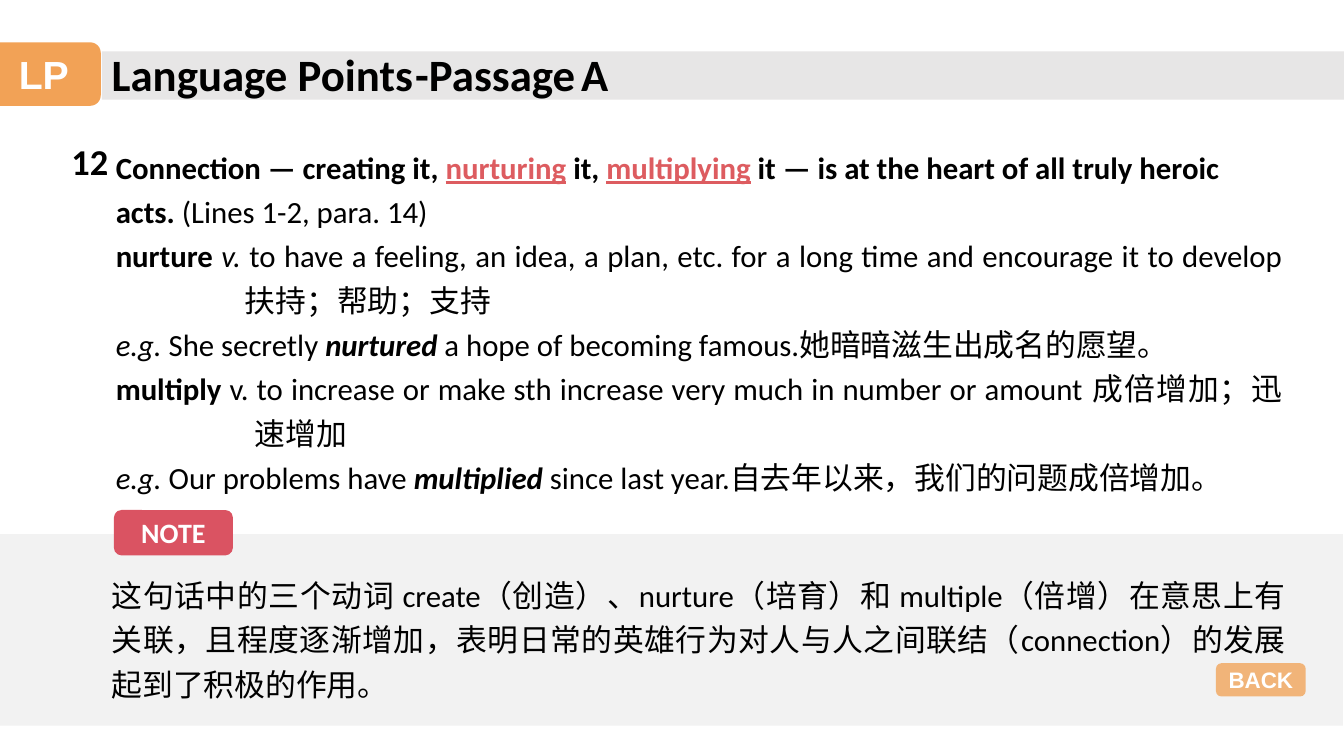
from pptx import Presentation
from pptx.dml.color import RGBColor
from pptx.enum.shapes import MSO_SHAPE
from pptx.enum.text import MSO_ANCHOR, MSO_AUTO_SIZE, PP_ALIGN
from pptx.oxml.ns import qn
from pptx.util import Inches, Pt
from lxml.etree import SubElement

BLACK, WHITE, RED, ORANGE = "000000", "FFFFFF", "DD5C60", "F19B48"
PLAIN, BOLD, ITALIC = {}, {"bold": True}, {"italic": True}
BOLD_ITALIC = {**BOLD, **ITALIC}
KEYWORD = {"bold": True, "underline": True, "color": RED}

BANDS = [
    ((1.01, 0.51, 12.33, 0.48), "E7E6E6"),
    ((-0.01, 5.3, 13.33, 1.9), "F2F2F2"),
]
BADGES = [
    ("LP", (-0.13, 0.42, 1.13, 0.63), ORANGE, 92, "Arial", 28),
    ("NOTE", (1.13, 5.06, 1.18, 0.45), "DA5362", 100, "Calibri", 20),
    ("BACK", (12.06, 6.58, 0.89, 0.33), ORANGE, 71, "Arial", 16),
]
HEADINGS = [
    ((1.01, 0.41, 4.85, 0.64), 32, [("Language Points", BOLD)]),
    ((4.02, 0.41, 2.47, 0.64), 32,
     [("-Passage", BOLD), (" ", {"size": 18}), ("A", BOLD)]),
    ((0.61, 1.33, 0.63, 0.54), 26, [("12", BOLD)]),
]
EXPLANATION = [
    (0, [("Connection — creating it, ", BOLD), ("nurturing", KEYWORD),
         (" it, ", BOLD), ("multiplying", KEYWORD),
         (" it — is at the heart of all truly heroic", BOLD)]),
    (0, [("acts. ", BOLD), ("(Lines 1-2, para. 14)", PLAIN)]),
    (1.28, [("nurture ", BOLD), ("v.", ITALIC),
            (" to have a feeling, an idea, a plan, etc. for a long time and "
             "encourage it to develop 扶持；帮助；支持", PLAIN)]),
    (0, [("e.g.", ITALIC), (" She secretly ", PLAIN),
         ("nurtured", BOLD_ITALIC),
         (" a hope of becoming famous.她暗暗滋生出成名的愿望。", PLAIN)]),
    (1.38, [("multiply", BOLD),
            (" v. to increase or make sth increase very much in number or "
             "amount 成倍增加；迅速增加", PLAIN)]),
    (0, [("e.g.", ITALIC), (" Our problems have ", PLAIN),
         ("multiplied", BOLD_ITALIC),
         (" since last year.自去年以来，我们的问题成倍增加。", PLAIN)]),
]
NOTE = [
    (0, [("这句话中的三个动词 create（创造）、nurture（培育）和 multiple（倍增）"
          "在意思上有关联，且程度逐渐增加，表明日常的英雄行为对人与人之间联结"
          "（connection）的发展起到了积极的作用。", PLAIN)]),
]
BODIES = [
    ((1.05, 1.35, 11.77, 3.62), EXPLANATION),
    ((1.01, 5.6, 11.84, 1.4), NOTE),
]


def rgb(color):
    return RGBColor.from_string(color)


def add_runs(p, runs, size, color=BLACK, name="Calibri"):
    for text, style in runs:
        r = p.add_run()
        r.text = text
        values = {"size": size, "name": name, "color": color, **style}
        r.font.color.rgb = rgb(values.pop("color"))
        values["size"] = Pt(values["size"])
        for key, value in values.items():
            setattr(r.font, key, value)


def add_block(s, kind, box, color, alpha=100):
    sp = s.shapes.add_shape(kind, *map(Inches, box))
    sp.shadow.inherit = False
    sp.fill.solid()
    sp.fill.fore_color.rgb = rgb(color)
    sp.line.fill.background()
    if alpha < 100:
        clr = sp.fill._xPr.find(".//" + qn("a:srgbClr"))
        SubElement(clr, qn("a:alpha")).set("val", str(alpha * 1000))
    return sp


def add_text(s, box):
    tf = s.shapes.add_textbox(*map(Inches, box)).text_frame
    tf.word_wrap = True
    tf.auto_size = MSO_AUTO_SIZE.SHAPE_TO_FIT_TEXT
    return tf


def main():
    prs = Presentation()
    prs.slide_width, prs.slide_height = Inches(13.33), Inches(7.5)
    s = prs.slides.add_slide(prs.slide_layouts[6])

    for box, color in BANDS:
        add_block(s, MSO_SHAPE.RECTANGLE, box, color)

    for box, size, runs in HEADINGS:
        add_runs(add_text(s, box).paragraphs[0], runs, size)

    for box, paragraphs in BODIES:
        tf = add_text(s, box)
        for i, (hanging, runs) in enumerate(paragraphs):
            p = tf.add_paragraph() if i else tf.paragraphs[0]
            p.alignment = PP_ALIGN.JUSTIFY
            p.line_spacing = 1.2
            if hanging:
                pPr = p._p.get_or_add_pPr()
                pPr.set("marL", str(Inches(hanging)))
                pPr.set("indent", str(-Inches(hanging)))
            add_runs(p, runs, 22)

    for label, box, color, alpha, name, size in BADGES:
        sp = add_block(s, MSO_SHAPE.ROUNDED_RECTANGLE, box, color, alpha)
        tf = sp.text_frame
        tf.vertical_anchor = MSO_ANCHOR.MIDDLE
        p = tf.paragraphs[0]
        p.alignment = PP_ALIGN.CENTER
        add_runs(p, [(label, BOLD)], size, WHITE, name)

    prs.save("out.pptx")


if __name__ == "__main__":
    main()
